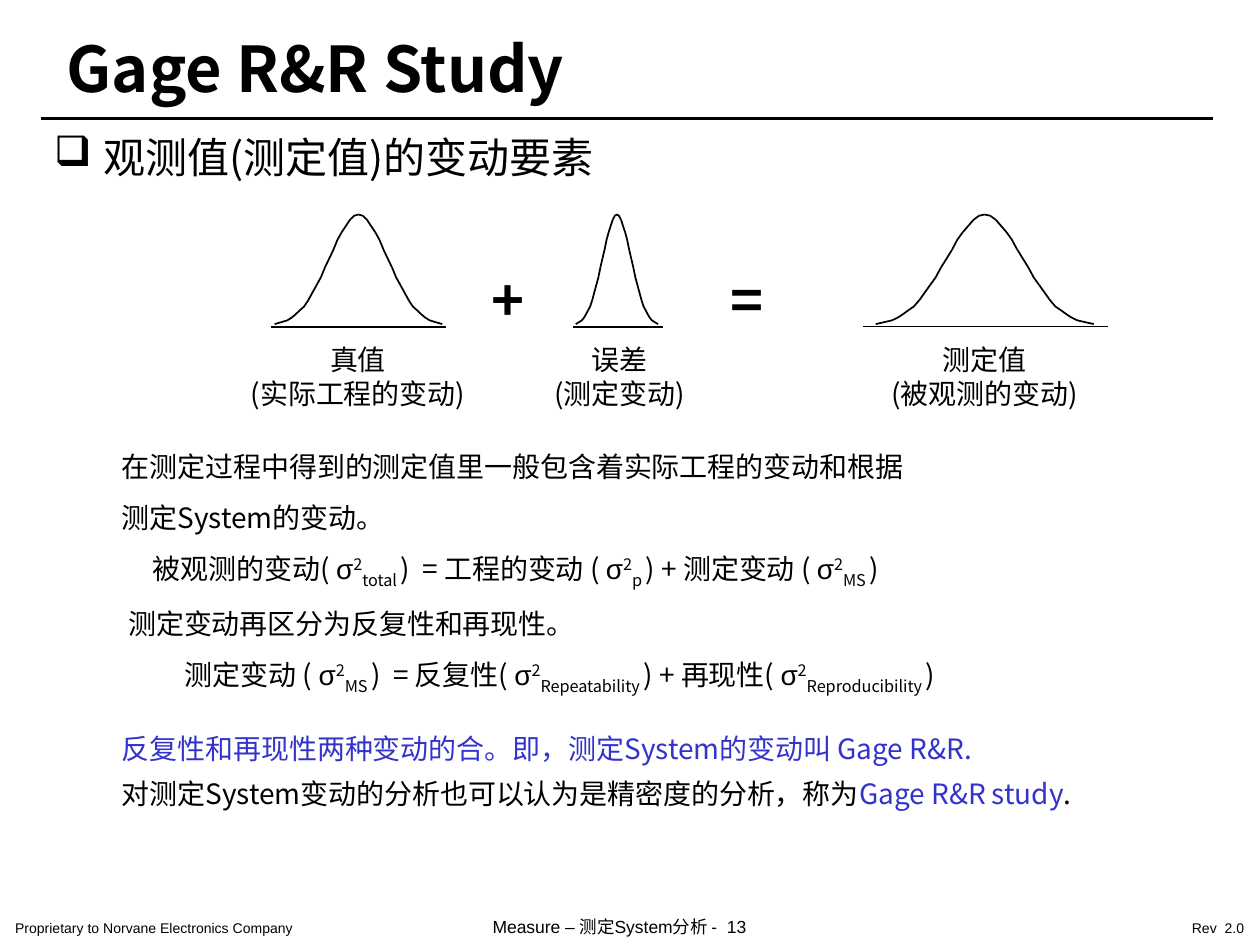
from lxml.etree import SubElement
from pptx import Presentation
from pptx.dml.color import RGBColor
from pptx.enum.shapes import MSO_CONNECTOR
from pptx.enum.text import MSO_ANCHOR, PP_ALIGN
from pptx.oxml.ns import qn
from pptx.util import Pt

CJK, LATIN = "Noto Sans CJK SC", "Arial"
BLACK, BLUE = "000000", "3333CC"
BODY_LINE, FORMULA_LINE = 19.2, 21.5
# Drop of the left half of the bell below its peak, at equal steps
BELL_DROPS = [62.6, 62, 61.2, 60.5, 59, 57, 54.7, 52.6, 49, 44.6, 40.3,
              36, 30.2, 25.2, 20.2, 14.4, 10.1, 6.5, 2.9, 0.7, 0]
STRAIGHT_PIECES = (0, 6, 13, 19)
BELL_BASE = 64.1


def color(hex_code):
    return RGBColor.from_string(hex_code)


def add_box(slide, box, inset=(7.2, 3.6), wrap=True, anchor=MSO_ANCHOR.TOP):
    frame = slide.shapes.add_textbox(*map(Pt, box)).text_frame
    frame.word_wrap = wrap
    frame.vertical_anchor = anchor
    frame.margin_left = frame.margin_right = Pt(inset[0])
    frame.margin_top = frame.margin_bottom = Pt(inset[1])
    return frame


def add_run(paragraph, text, size, hex_code=BLACK, font=CJK, bold=False, shift=0):
    run = paragraph.add_run()
    run.text = text
    run.font.size = Pt(size)
    run.font.bold = bold
    run.font.name = font
    run.font.color.rgb = color(hex_code)
    properties = run.font._element
    SubElement(properties, qn("a:ea")).set("typeface", CJK)
    if shift:
        properties.set("baseline", str(shift * 1000))


def next_paragraph(frame, index):
    return frame.paragraphs[0] if index == 0 else frame.add_paragraph()


def indent(paragraph, left, first=0):
    properties = paragraph._p.get_or_add_pPr()
    properties.set("marL", str(Pt(left)))
    properties.set("indent", str(Pt(first)))
    return properties


def add_line(shapes, start, end, width):
    line = shapes.add_connector(MSO_CONNECTOR.STRAIGHT, *map(Pt, start + end))
    line.line.color.rgb = color(BLACK)
    line.line.width = Pt(width)
    SubElement(line._element.spPr, qn("a:effectLst"))


def add_header(slide, box):
    left, top, width, height = box
    title = add_box(slide, (left + 7, top, width - 40, height), (7.9, 4.3),
                    anchor=MSO_ANCHOR.MIDDLE)
    add_run(title.paragraphs[0], "Gage R&R Study", 36, bold=True)
    rule = top + 50.6
    add_line(slide.shapes, (left, rule), (left + width, rule), 1.5)


def add_heading(slide, box):
    heading = add_box(slide, box, anchor=MSO_ANCHOR.MIDDLE).paragraphs[0]
    bullet = indent(heading, 28, -28)
    bullet_color = SubElement(bullet, qn("a:buClr"))
    SubElement(bullet_color, qn("a:srgbClr")).set("val", BLACK)
    SubElement(bullet, qn("a:buChar")).set("char", "❑")
    add_run(heading, "观测值(测定值)的变动要素", 24)


def add_curve_piece(shapes, points):
    start, *rest = [(Pt(x), Pt(y)) for x, y in points]
    builder = shapes.build_freeform(*start, scale=1.0)
    builder.add_line_segments(rest, close=False)
    piece = builder.convert_to_shape()
    piece.shadow.inherit = False
    piece.fill.background()
    piece.line.color.rgb = color(BLACK)
    piece.line.width = Pt(1)


def add_bell(slide, curve, base, top, base_width):
    """Bell of short pieces over its base line; curve and base are (left, right)."""
    drops = BELL_DROPS + BELL_DROPS[-2::-1]
    step = (curve[1] - curve[0]) / (len(drops) - 1)
    points = [(curve[0] + i * step, top + drop) for i, drop in enumerate(drops)]
    shapes = slide.shapes.add_group_shape().shapes
    for piece in range(len(points) // 2):
        start, middle, end = points[2 * piece:2 * piece + 3]
        if piece in STRAIGHT_PIECES:
            add_line(shapes, start, end, 1)
        else:
            add_curve_piece(shapes, (start, middle, end))
    floor = top + BELL_BASE
    add_line(shapes, (base[0], floor), (base[1], floor), base_width)


def add_equation(slide, top):
    """True value + error = measured value, as three captioned bells."""
    terms = [
        ((157, 252.7), (154.8, 254.9), 1, (124.6, 160), ("真值", "(实际工程的变动)")),
        ((329, 376), (327.6, 378.7), 1, (296.6, 115), ("误差", "(测定变动)")),
        ((500.4, 625), (493.2, 632.9), 0.75, (493.2, 139), ("测定值", "(被观测的变动)")),
    ]
    for curve, base, base_width, (left, width), lines in terms:
        add_bell(slide, curve, base, top, base_width)
        caption = add_box(slide, (left, top + 69.6, width, 46))
        for i, text in enumerate(lines):
            paragraph = next_paragraph(caption, i)
            paragraph.alignment = PP_ALIGN.CENTER
            paragraph.line_spacing = Pt(BODY_LINE)
            add_run(paragraph, text, 16)
    for left, sign in ((273.6, "+"), (410.4, "=")):
        paragraph = add_box(slide, (left, top + 25, 22.3, 46)).paragraphs[0]
        paragraph.line_spacing = Pt(39)
        add_run(paragraph, sign, 32, bold=True)


def add_explanation(slide, box):
    """Plain strings are text; a one-item tuple is the subscript of a variance."""
    rows = [
        (0, BODY_LINE, ["在测定过程中得到的测定值里一般包含着实际工程的变动和根据"]),
        (0, BODY_LINE, ["测定System的变动。"]),
        (17.7, FORMULA_LINE, ["被观测的变动( ", ("total ",), ")  = 工程的变动 ( ", ("p ",),
                              ") + 测定变动 ( ", ("MS ",), ")"]),
        (3.6, BODY_LINE, ["测定变动再区分为反复性和再现性。"]),
        (36, FORMULA_LINE, ["测定变动 ( ", ("MS ",), ")  = 反复性( ", ("Repeatability ",),
                            ") + 再现性( ", ("Reproducibility ",), ")"]),
    ]
    frame = add_box(slide, box)
    for i, (left, line_height, parts) in enumerate(rows):
        paragraph = next_paragraph(frame, i)
        indent(paragraph, left)
        paragraph.line_spacing = Pt(line_height)
        paragraph.space_before = Pt(10 if i else 0)
        for part in parts:
            if isinstance(part, str):
                add_run(paragraph, part, 16)
            else:
                add_run(paragraph, "σ", 16, font=LATIN)
                add_run(paragraph, "2", 16, shift=30)
                add_run(paragraph, part[0], 16, shift=-25)


def add_conclusion(slide, box):
    rows = [
        [("反复性和再现性两种变动的合。即，测定System的变动叫 Gage R&R.", BLUE)],
        [("对测定System变动的分析也可以认为是精密度的分析，称为", BLACK),
         ("Gage R&R study", BLUE), (".", BLACK)],
    ]
    frame = add_box(slide, box)
    for i, runs in enumerate(rows):
        paragraph = next_paragraph(frame, i)
        paragraph.line_spacing = Pt(BODY_LINE)
        paragraph.space_before = Pt(2 if i else 0)
        paragraph.space_after = Pt(4)
        for text, hex_code in runs:
            add_run(paragraph, text, 16, hex_code)


def add_footer(slide, bottom):
    items = [
        (0, 231, 18.7, True, 8, "Proprietary to Norvane Electronics Company"),
        (272.9, 206.6, 21, False, 10, "Measure – 测定System分析 -  13"),
        (672.5, 47.5, 18.7, False, 8, "Rev  2.0"),
    ]
    for left, width, height, wrap, size, text in items:
        frame = add_box(slide, (left, bottom - height, width, height), (8.6, 4.3), wrap)
        add_run(frame.paragraphs[0], text, size, font=LATIN)


def main():
    deck = Presentation()
    deck.slide_width, deck.slide_height = Pt(720), Pt(540)
    slide = deck.slides.add_slide(deck.slide_layouts[6])
    add_footer(slide, 540)
    add_header(slide, (23.2, 17.3, 670, 41.8))
    add_heading(slide, (23.8, 72.7, 365.8, 33.8))
    add_equation(slide, 122.6)
    add_explanation(slide, (62.6, 253.4, 613.4, 148.3))
    add_conclusion(slide, (62.6, 414.7, 624.2, 51.8))
    deck.save("out.pptx")


if __name__ == "__main__":
    main()
